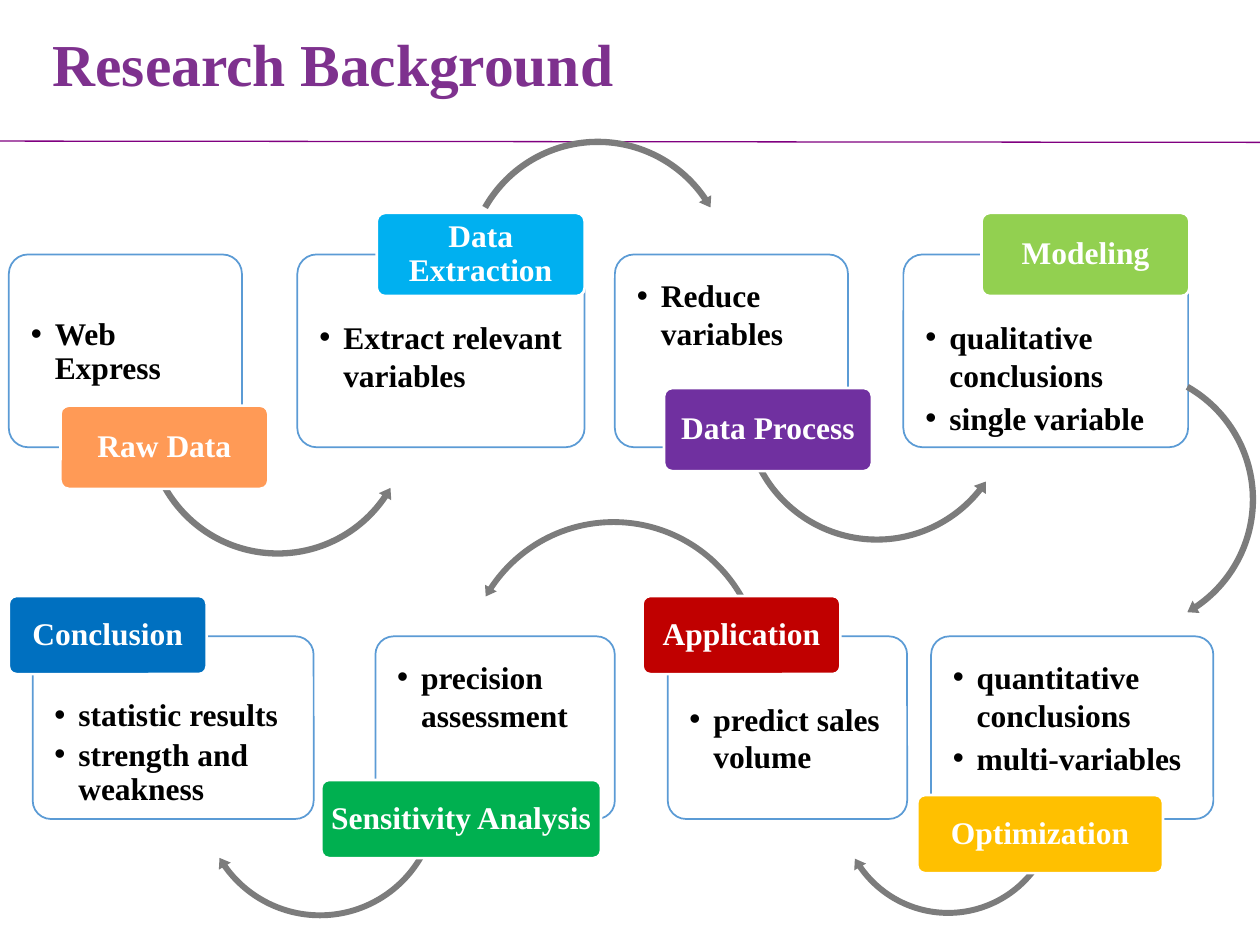
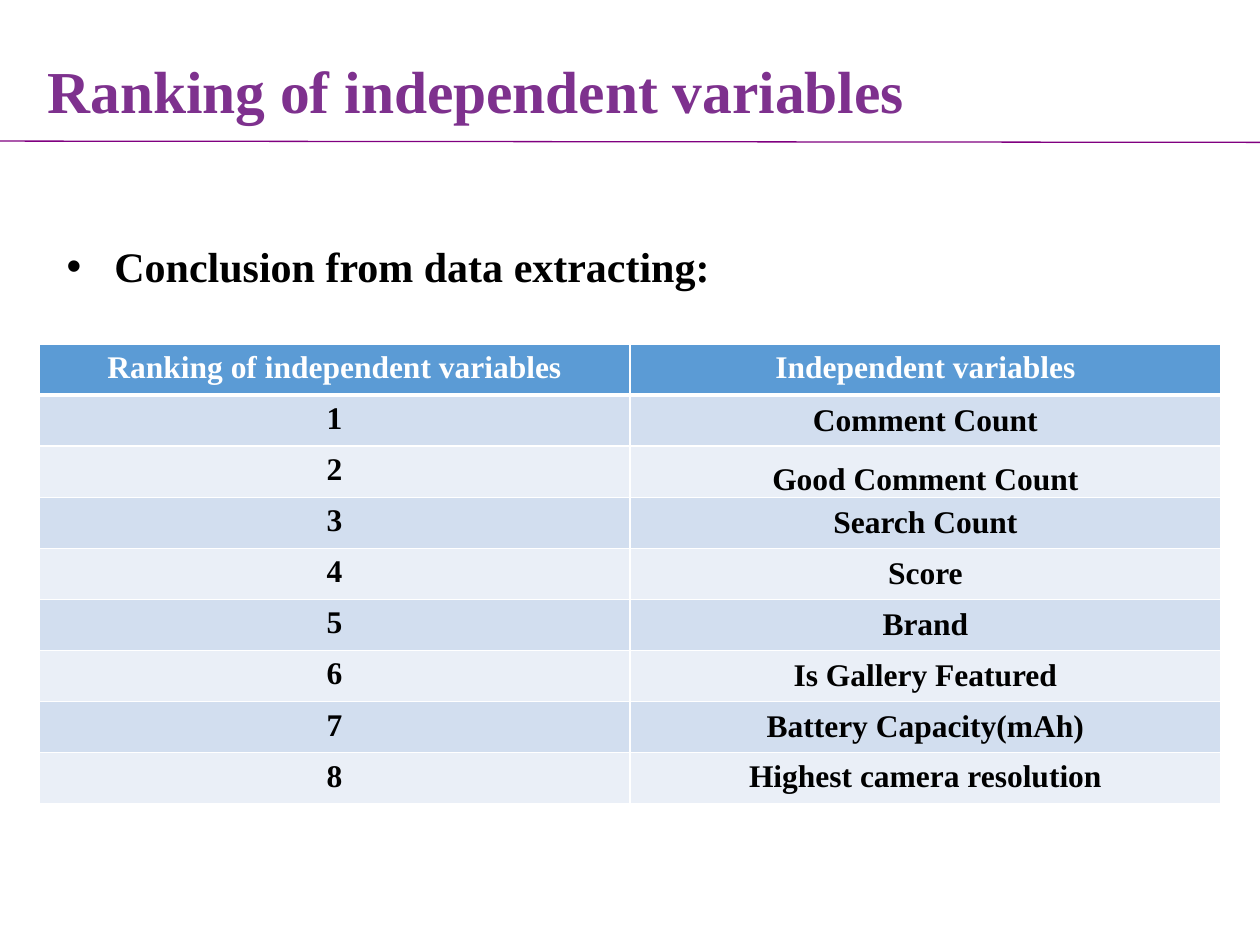
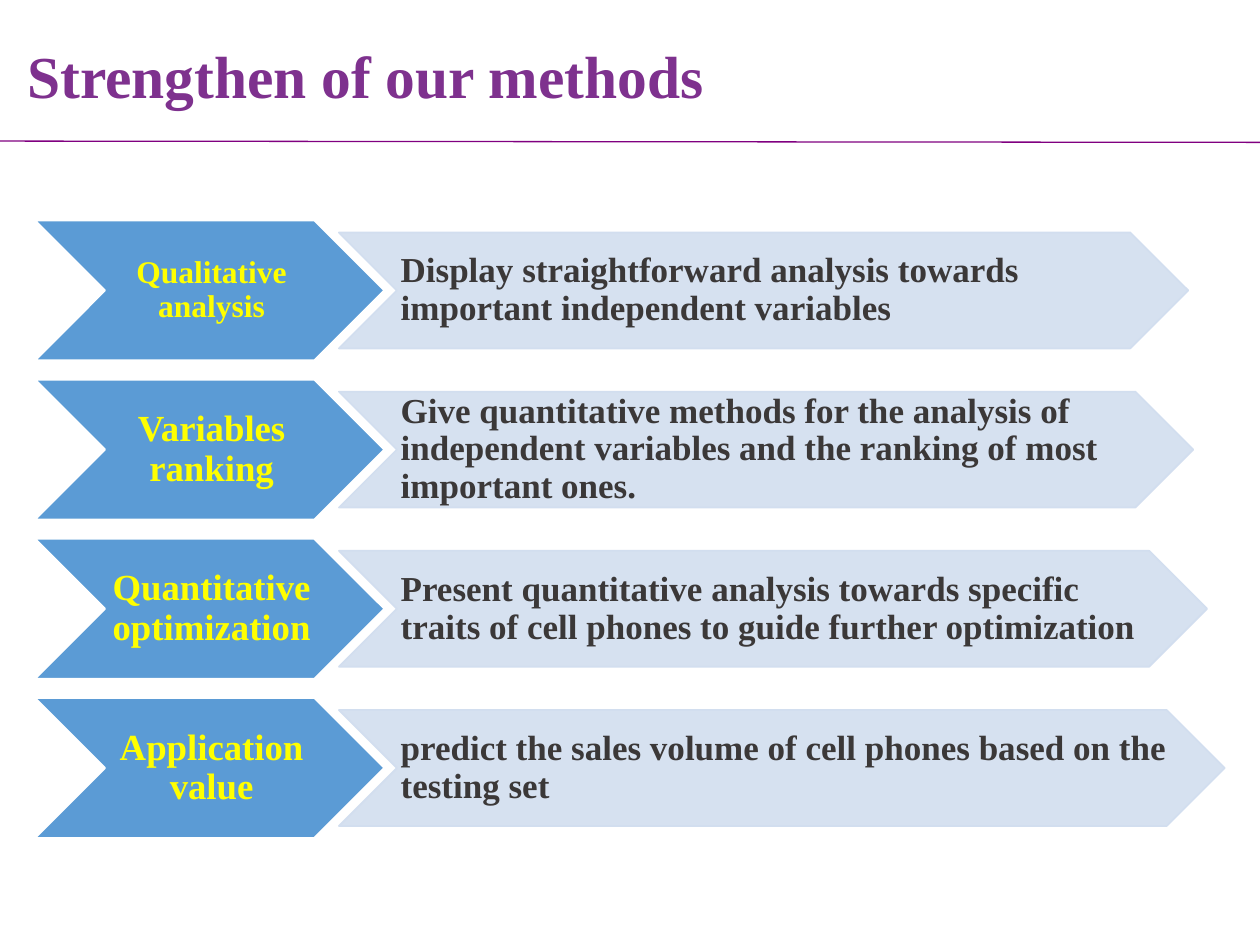
from dataclasses import dataclass
from lxml import etree
from pptx import Presentation
from pptx import util as u
from pptx.dml.color import RGBColor
from pptx.enum import shapes, text
from pptx.oxml.ns import qn

Inches, Pt = u.Inches, u.Pt
SHAPE, ALIGN, ANCHOR = shapes.MSO_SHAPE, text.PP_ALIGN, text.MSO_ANCHOR


@dataclass(frozen=True)
class Theme:
    font: str = "Times New Roman"
    title: str = "7E318E"
    rule: str = "800080"
    blue: str = "5B9BD5"
    band_dark: str = "D2DEEF"
    band_light: str = "EAEFF7"
    arrow: str = "7C7C7C"
    white: str = "FFFFFF"
    black: str = "000000"
    yellow: str = "FFFF00"
    charcoal: str = "3B3838"
    title_size: int = 34
    lead_size: int = 24
    method_size: int = 21
    detail_size: int = 20
    body_size: int = 18


THEME = Theme()

TITLES = [
    ("Research Background", (0.32, 0.22, 4.7, 0.62), 0.9),
    ("Ranking of independent variables", (0.28, 0.13, 8.27, 1), 1.3),
    ("Strengthen of our methods", (0.12, 0, 9, 1.25), 0.9),
]

HIGH, LOW = 0.13, 0.46
TOP_ROW, BOTTOM_ROW = (2.02, 1.53), (5.05, 1.45)
TOP_TAG, BOTTOM_TAG = 0.66, 0.62
STAGES = [
    ("Raw Data", "FF9A56", (0.48, 3.22, 1.65, TOP_TAG),
     ["Web Express"], TOP_ROW, 0.07, 1.85, LOW, 0.9),
    ("Data Extraction", "00B0F0", (2.99, 1.69, 1.65, TOP_TAG),
     ["Extract relevant variables"], TOP_ROW, 2.36, 2.28, LOW, 1),
    ("Data Process", "7030A0", (5.27, 3.08, 1.65, TOP_TAG),
     ["Reduce variables"], TOP_ROW, 4.88, 1.85, HIGH, 1),
    ("Modeling", "92D050", (7.79, 1.69, 1.65, TOP_TAG),
     ["qualitative conclusions", "single variable"], TOP_ROW, 7.17, 2.26, LOW, 1),
    ("Optimization", "FFC000", (7.28, 6.31, 1.95, BOTTOM_TAG),
     ["quantitative conclusions", "multi-variables"], BOTTOM_ROW, 7.39, 2.24, HIGH, 1),
    ("Application", "C00000", (5.1, 4.73, 1.57, BOTTOM_TAG),
     ["predict sales volume"], BOTTOM_ROW, 5.3, 1.9, LOW, 1),
    ("Sensitivity Analysis", "00B050", (2.55, 6.19, 2.22, BOTTOM_TAG),
     ["precision assessment"], BOTTOM_ROW, 2.98, 1.9, HIGH, 1),
    ("Conclusion", "0070C0", (0.07, 4.73, 1.57, BOTTOM_TAG),
     ["statistic results", "strength and weakness"], BOTTOM_ROW, 0.26, 2.23, LOW, 0.9),
]

CLOCKWISE, COUNTER = SHAPE.CIRCULAR_ARROW, SHAPE.LEFT_CIRCULAR_ARROW
# left, top, size, rotation, then thickness %, head angle, end, start, head %
ARROWS = [
    (COUNTER, 1.12, 2.28, 2.17, 0, (2.3, 4.54, 34.14, 150.41, 2.6)),
    (CLOCKWISE, 3.66, 1.07, 2.17, 0, (2.3, 4.54, 325.87, 209.59, 2.6)),
    (COUNTER, 5.86, 2.14, 2.2, 0, (2.2, 4.5, 38.44, 154.76, 2.6)),
    (CLOCKWISE, 7.83, 2.88, 2.17, 90, (2.3, 4.54, 325.87, 209.59, 2.6)),
    (CLOCKWISE, 6.62, 5.49, 1.81, 0, (2.6, 5.24, 145.17, 29.59, 3)),
    (COUNTER, 3.65, 4.09, 2.44, 0, (1.9, 3.82, 213.42, 330.41, 2.2)),
    (CLOCKWISE, 1.56, 5.36, 1.96, 0, (2.4, 4.81, 144.68, 28.68, 2.8)),
]

LEAD = "Conclusion from data extracting:"
HEADINGS = ("Ranking of independent variables", "Independent variables")
VARIABLES = [
    ("Comment Count", ANCHOR.MIDDLE),
    ("Good Comment Count", ANCHOR.BOTTOM),
    ("Search Count", ANCHOR.MIDDLE),
    ("Score", ANCHOR.MIDDLE),
    ("Brand", ANCHOR.MIDDLE),
    ("Is Gallery Featured", ANCHOR.MIDDLE),
    ("Battery Capacity(mAh)", ANCHOR.MIDDLE),
    ("Highest camera resolution", ANCHOR.TOP),
]

METHODS = [
    ("Qualitative analysis", THEME.body_size, 6.74,
     "Display straightforward analysis towards important independent variables"),
    ("Variables ranking", THEME.method_size, 6.78,
     "Give quantitative methods for the analysis of independent variables "
     "and the ranking of most important ones."),
    ("Quantitative optimization", THEME.method_size, 6.89,
     "Present quantitative analysis towards specific traits of cell phones "
     "to guide further optimization"),
    ("Application value", THEME.method_size, 7.03,
     "predict the sales volume of cell phones based on the testing set"),
]


def apply(target, formats):
    for name, value in formats.items():
        setattr(target, name, value)


def rgb(code):
    return RGBColor.from_string(code)


def inches(*lengths):
    return [Inches(length) for length in lengths]


def write(frame, lines, size, color, align=ALIGN.LEFT, anchor=ANCHOR.TOP,
          insets=(0.1, 0.05, 0.1, 0.05), spacing=1.0, after=0, hang=0, wrap=True):
    sides = ("margin_left", "margin_top", "margin_right", "margin_bottom")
    apply(frame, dict(zip(sides, inches(*insets)), word_wrap=wrap, vertical_anchor=anchor))
    for index, line in enumerate(lines):
        para = frame.add_paragraph() if index else frame.paragraphs[0]
        fill_para(para, line, size, color, align, spacing, after)
        if hang:
            props = para._p.get_or_add_pPr()
            props.set("marL", str(Inches(hang)))
            props.set("indent", str(-Inches(hang)))
            etree.SubElement(props, qn("a:buFont")).set("typeface", "Arial")
            etree.SubElement(props, qn("a:buChar")).set("char", "•")


def fill_para(para, line, size, color, align, spacing=1.0, after=0):
    apply(para, {"alignment": align, "line_spacing": spacing, "space_after": Pt(after)})
    span = para.add_run()
    span.text = line
    apply(span.font, {"name": THEME.font, "size": Pt(size), "bold": True})
    span.font.color.rgb = rgb(color)


def add_box(page, kind, place, fill, line=None, weight=1, alpha=100):
    box = page.shapes.add_shape(kind, *inches(*place))
    box.shadow.inherit = False
    box.fill.solid()
    box.fill.fore_color.rgb = rgb(fill)
    if alpha < 100:
        color = box.element.spPr.find(qn("a:solidFill"))[0]
        etree.SubElement(color, qn("a:alpha")).set("val", str(alpha * 1000))
    if line:
        box.line.color.rgb = rgb(line)
        box.line.width = Pt(weight)
    else:
        box.line.fill.background()
    return box


def add_page(deck, title, place, spacing):
    page = deck.slides.add_slide(deck.slide_layouts[6])
    rule = page.shapes.add_connector(shapes.MSO_CONNECTOR.STRAIGHT, *inches(0, 1.12, 10, 1.13))
    rule.line.color.rgb = rgb(THEME.rule)
    rule.line.width = Pt(0.75)
    etree.SubElement(rule.element.spPr, qn("a:effectLst"))
    box = page.shapes.add_textbox(*inches(*place))
    write(box.text_frame, [title], THEME.title_size, THEME.title,
          anchor=ANCHOR.MIDDLE, spacing=spacing)
    return page


def draw_workflow(page):
    for _, _, _, notes, (top, height), left, width, drop, spacing in STAGES:
        box = add_box(page, SHAPE.ROUNDED_RECTANGLE, (left, top, width, height),
                      THEME.white, THEME.blue, alpha=90)
        box.adjustments[0] = 0.1
        write(box.text_frame, notes, THEME.body_size, THEME.black,
              insets=(HIGH, drop, HIGH, 0), spacing=spacing, after=3, hang=0.19)
    for kind, left, top, size, rotation, (thick, tip, end, start, head) in ARROWS:
        arrow = add_box(page, kind, (left, top, size, size), THEME.arrow)
        arrow.rotation = rotation
        values = (thick / 100, tip * 0.6, end * 0.6, start * 0.6, head / 100)
        for index, value in enumerate(values):
            arrow.adjustments[index] = value
    for name, color, place, *_ in STAGES:
        tag = add_box(page, SHAPE.ROUNDED_RECTANGLE, place, color, THEME.white, 1.5)
        tag.adjustments[0] = 0.1
        write(tag.text_frame, [name], THEME.body_size, THEME.white, ALIGN.CENTER,
              ANCHOR.MIDDLE, (0.04, 0.03, 0.04, 0.03), 0.9)


def set_borders(cell, weights):
    props = cell._tc.get_or_add_tcPr()
    for index, (side, weight) in enumerate(weights.items()):
        edge = etree.Element(qn("a:ln" + side), w=str(Pt(weight)))
        paint = etree.SubElement(edge, qn("a:solidFill"))
        etree.SubElement(paint, qn("a:srgbClr")).set("val", THEME.white)
        props.insert(index, edge)


def draw_ranking(page):
    lead = page.shapes.add_textbox(*inches(0.43, 1.86, 5.67, 0.5))
    write(lead.text_frame, [LEAD], THEME.lead_size, THEME.black, hang=0.38)
    rows = [(HEADINGS, ANCHOR.TOP)]
    rows += [((str(rank), name), anchor)
             for rank, (name, anchor) in enumerate(VARIABLES, 1)]
    table = page.shapes.add_table(len(rows), 2, *inches(0.31, 2.73, 9.38, 3.65)).table
    for row, (words, anchor) in enumerate(rows):
        band = THEME.band_dark if row % 2 else THEME.band_light
        for column, word in enumerate(words):
            cell = table.cell(row, column)
            cell.fill.solid()
            cell.fill.fore_color.rgb = rgb(band if row else THEME.blue)
            if column and anchor != ANCHOR.TOP:
                apply(cell, {"vertical_anchor": anchor,
                             "margin_left": Inches(0.07), "margin_right": Inches(0.07),
                             "margin_top": 0, "margin_bottom": 0})
            fill_para(cell.text_frame.paragraphs[0], word, THEME.body_size,
                      THEME.black if row else THEME.white, ALIGN.CENTER)
            set_borders(cell, {"L": 1, "R": 1, "T": 3 if row == 1 else 1,
                               "B": 1 if row else 3})


def draw_methods(page):
    first, last, height, inner = 1.75, 5.54, 1.11, 0.92
    step = (last - first) / (len(METHODS) - 1)
    insets = (0.03, 0.01, 0, 0.01)
    for index, (name, size, width, detail) in enumerate(METHODS):
        top = first + index * step
        label = add_box(page, SHAPE.CHEVRON, (0.28, top, 2.77, height),
                        THEME.blue, THEME.white)
        write(label.text_frame, [name], size, THEME.yellow, ALIGN.CENTER,
              ANCHOR.MIDDLE, insets, 0.9)
        band = add_box(page, SHAPE.CHEVRON, (2.69, top + (height - inner) / 2, width, inner),
                       THEME.band_dark, THEME.band_dark, alpha=90)
        write(band.text_frame, [detail], THEME.detail_size, THEME.charcoal,
              anchor=ANCHOR.MIDDLE, insets=insets, spacing=0.9)


def main():
    deck = Presentation()
    apply(deck, {"slide_width": Inches(10), "slide_height": Inches(7.5)})
    for heading, draw in zip(TITLES, (draw_workflow, draw_ranking, draw_methods)):
        draw(add_page(deck, *heading))
    deck.save("out.pptx")


if __name__ == "__main__":
    main()
